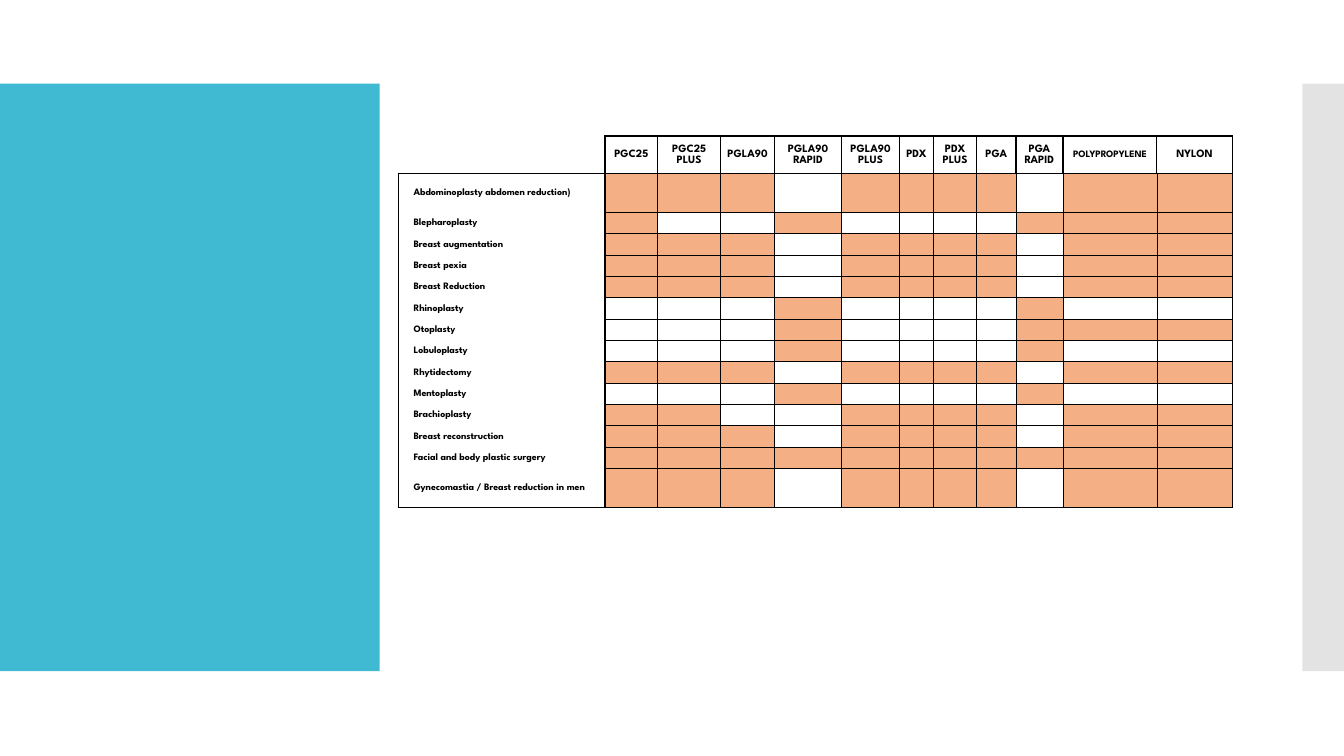
from lxml import etree
from pptx import Presentation
from pptx.dml.color import RGBColor
from pptx.enum.shapes import MSO_SHAPE
from pptx.enum.text import MSO_ANCHOR, PP_ALIGN
from pptx.oxml.ns import qn
from pptx.util import Pt

RECT = MSO_SHAPE.RECTANGLE
MIDDLE = MSO_ANCHOR.MIDDLE
CENTER, LEFT = PP_ALIGN.CENTER, PP_ALIGN.LEFT

COLORS = {"teal": "40BAD2", "gray": "C8C8C8", "orange": "F4B084", "black": "000000"}
FONT = "League Spartan"

SUTURES = ["PGC25", "PGC25 PLUS", "PGLA90", "PGLA90 RAPID", "PGLA90 PLUS", "PDX",
           "PDX PLUS", "PGA", "PGA RAPID", "POLYPROPYLENE", "NYLON"]
# One mark per suture: x is a filled cell
USES = [
    ("Abdominoplasty abdomen reduction)", "xxx.xxxx.xx"),
    ("Blepharoplasty", "x..x....xxx"),
    ("Breast augmentation", "xxx.xxxx.xx"),
    ("Breast pexia", "xxx.xxxx.xx"),
    ("Breast Reduction", "xxx.xxxx.xx"),
    ("Rhinoplasty", "...x....x.."),
    ("Otoplasty", "...x....xxx"),
    ("Lobuloplasty", "...x....x.."),
    ("Rhytidectomy", "xxx.xxxx.xx"),
    ("Mentoplasty", "...x....x.."),
    ("Brachioplasty", "xx..xxxx.xx"),
    ("Breast reconstruction", "xxx.xxxx.xx"),
    ("Facial and body plastic surgery", "xxxxxxxxxxx"),
    ("Gynecomastia / Breast reduction in men", "xxx.xxxx.xx"),
]
WIDTHS = [147.6, 37.6, 45, 38.5, 48, 41.3, 24.4, 30.8, 28, 33.6, 67.1, 53.9]
HEIGHTS = [26.6, 28] + [15.25] * 12 + [28.1, 15.8]
LAST = len(USES)
END = len(SUTURES)


def edges(row, col):
    """Border widths of a cell, by side; a side left out has no line."""
    if row > LAST:
        return {"T": 1}
    if row == 0:
        return dict.fromkeys("LRTB" if col else "RB", 1)
    sides = {"L": 1 if col < 2 else 0.5, "R": 1 if col in (0, END) else 0.5}
    if col or row == 1:
        sides["T"] = 1 if row == 1 else 0.5
    if col or row == LAST:
        sides["B"] = 1 if row == LAST else 0.5
    return sides


class Deck:
    def __init__(self):
        self.prs = Presentation()
        self.prs.slide_width, self.prs.slide_height = Pt(960), Pt(540)
        self.slide = self.prs.slides.add_slide(self.prs.slide_layouts[6])

    def color(self, name):
        return RGBColor.from_string(COLORS[name])

    def panel(self, left, top, width, height, color, alpha=100):
        shape = self.slide.shapes.add_shape(RECT, Pt(left), Pt(top), Pt(width), Pt(height))
        shape.shadow.inherit = False
        shape.line.fill.background()
        shape.fill.solid()
        shape.fill.fore_color.rgb = self.color(color)
        if alpha < 100:
            tint = next(shape._element.spPr.iter(qn("a:srgbClr")))
            etree.SubElement(tint, qn("a:alpha")).set("val", str(alpha * 1000))

    def grid(self, left, top, widths, heights):
        frame = self.slide.shapes.add_table(len(heights), len(widths), Pt(left), Pt(top),
                                            Pt(sum(widths)), Pt(sum(heights)))
        table = frame.table
        table.first_row = table.horz_banding = False
        for col, width in zip(table.columns, widths):
            col.width = Pt(width)
        for row, height in zip(table.rows, heights):
            row.height = Pt(height)
        return table

    def border(self, cell, sides):
        props = cell._tc.get_or_add_tcPr()
        for side in "LRTB":
            line = etree.SubElement(props, qn("a:ln" + side))
            if side in sides:
                line.set("w", str(Pt(sides[side])))
                fill = etree.SubElement(line, qn("a:solidFill"))
                etree.SubElement(fill, qn("a:srgbClr")).set("val", COLORS["black"])
            else:
                etree.SubElement(line, qn("a:noFill"))

    def cell(self, cell, sides, text="", size=7, align=LEFT, inset=0.7, filled=False):
        self.border(cell, sides)
        if filled:
            cell.fill.solid()
            cell.fill.fore_color.rgb = self.color("orange")
        else:
            cell.fill.background()
        cell.vertical_anchor = MIDDLE
        cell.margin_left, cell.margin_right = Pt(inset), Pt(0.7)
        cell.margin_top, cell.margin_bottom = Pt(0.7), Pt(0)
        para = cell.text_frame.paragraphs[0]
        para.alignment = align
        if text:
            run = para.add_run()
            run.text = text
            run.font.name, run.font.size, run.font.bold = FONT, Pt(size), True
            run.font.color.rgb = self.color("black")
        else:
            # Keeps an empty cell from stretching its row
            etree.SubElement(para._p, qn("a:endParaRPr")).set("sz", str(size * 100))


def main():
    deck = Deck()

    # Side panels
    deck.panel(0, 59.8, 271.2, 419.6, "teal")
    deck.panel(930.4, 59.8, 29.6, 419.6, "gray", alpha=50)

    # Table of sutures by operation
    table = deck.grid(284.6, 97.2, WIDTHS, HEIGHTS)
    for row in range(len(HEIGHTS)):
        for col in range(len(WIDTHS)):
            look = {}
            if row == 0 and col:
                name = SUTURES[col - 1]
                look = {"text": name, "size": 7 if name == "POLYPROPYLENE" else 8,
                        "align": CENTER}
            elif 0 < row <= LAST:
                label, marks = USES[row - 1]
                if col:
                    look = {"filled": marks[col - 1] == "x"}
                else:
                    look = {"text": label, "inset": 10.8}
            deck.cell(table.cell(row, col), edges(row, col), **look)

    deck.prs.save("out.pptx")


if __name__ == "__main__":
    main()
